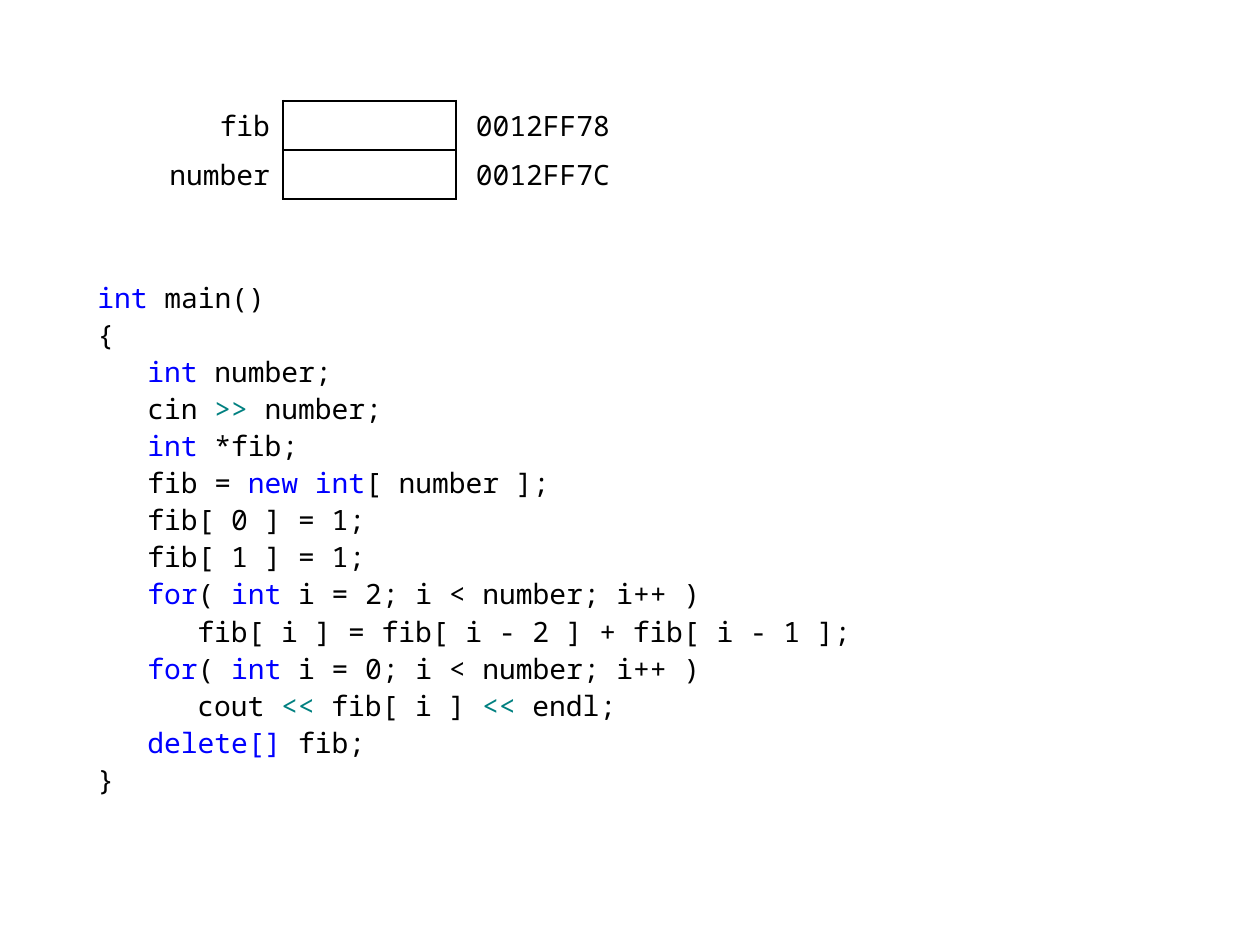
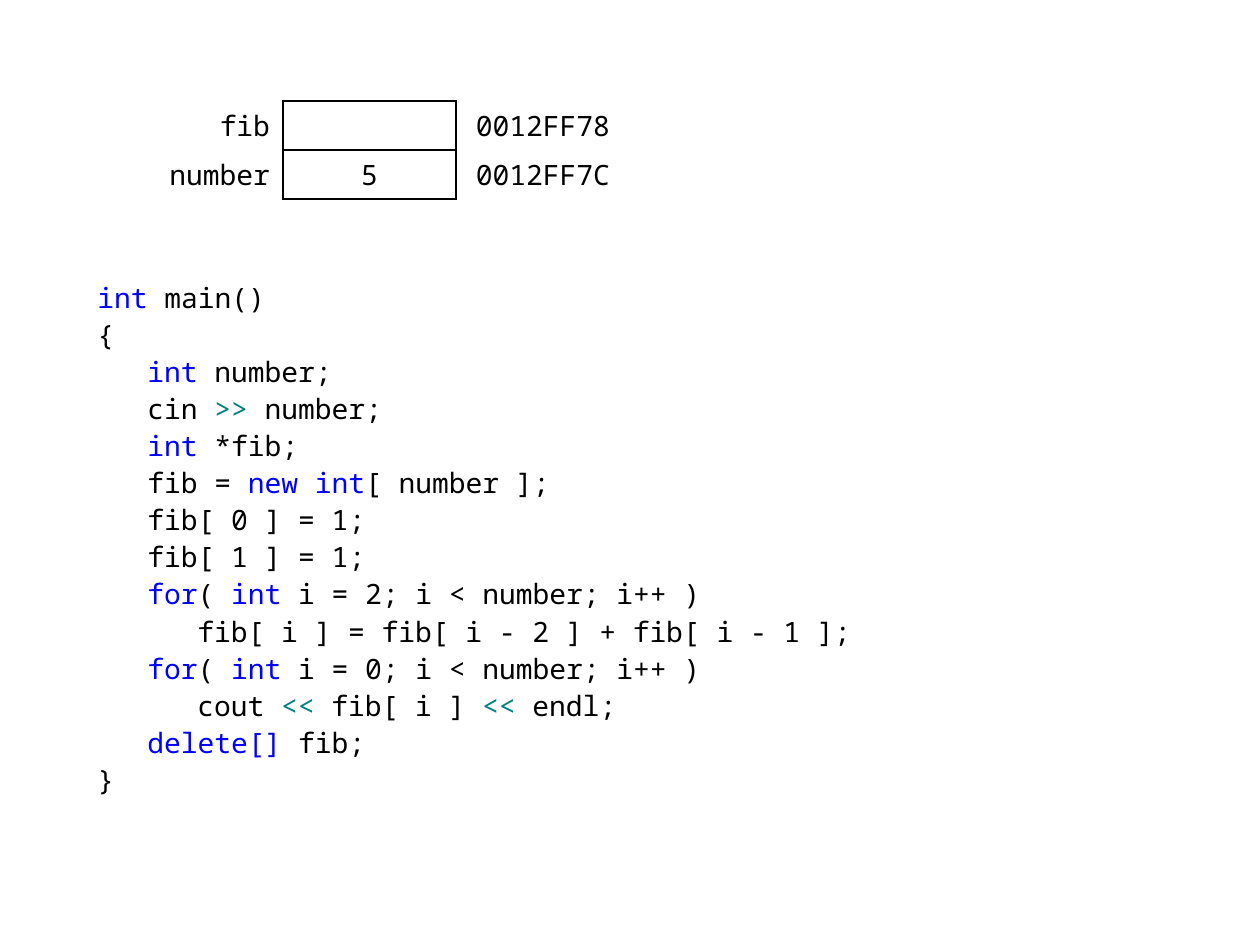
from dataclasses import dataclass

from lxml.etree import SubElement
from pptx import Presentation
from pptx.dml.color import RGBColor
from pptx.enum.text import MSO_ANCHOR, PP_ALIGN
from pptx.oxml.ns import qn
from pptx.util import Emu, Pt


@dataclass(frozen=True)
class Theme:
    font: str = "Noto Sans Mono"
    size: int = 16
    text: str = "000000"
    keyword: str = "0000FF"
    operator: str = "008080"
    border: str = "000000"
    outer_line: float = 1.5
    inner_line: float = 0.75


THEME = Theme()
EMU_PER_PX = 914400 // 126
SLIDE_WIDTH, SLIDE_HEIGHT = 1260, 945

# Code listing: indent level and text, with coloured parts between backticks
CODE_BOX = (85, 274, 794, 546)
INDENT = 50
OPERATORS = ("<<", ">>")
CODE = [
    (0, "`int` main()"),
    (0, "{"),
    (1, "`int` number;"),
    (1, "cin `>>` number;"),
    (1, "`int` *fib;"),
    (1, "fib = `new int`[ number ];"),
    (1, "fib[ 0 ] = 1;"),
    (1, "fib[ 1 ] = 1;"),
    (1, "`for`( `int` i = 2; i < number; i++ )"),
    (2, "fib[ i ] = fib[ i - 2 ] + fib[ i - 1 ];"),
    (1, "`for`( `int` i = 0; i < number; i++ )"),
    (2, "cout `<<` fib[ i ] `<<` endl;"),
    (1, "`delete[]` fib;"),
    (0, "}"),
]

# Memory table: variable name, value, address
TABLE_LEFT, TABLE_TOP, ROW_HEIGHT = 134, 101, 49
COLUMN_WIDTHS = (149, 173, 174)
COLUMN_ALIGNS = (PP_ALIGN.RIGHT, PP_ALIGN.CENTER, PP_ALIGN.CENTER)
COLUMN_INSETS = (13, 10, 10)
VARIABLES = (("fib", "0012FF78"), ("number", "0012FF7C"))
SLIDE_VALUES = ({}, {"number": "5"})


def px(length):
    return Emu(length * EMU_PER_PX)


def write_text(paragraph, text, *, align=PP_ALIGN.LEFT, indent=0, space_before=0):
    """Fill a paragraph, colouring the parts between backticks."""
    paragraph.alignment = align
    paragraph.space_before = Pt(space_before)
    if indent:
        paragraph._p.get_or_add_pPr().set("marL", str(px(indent)))
    for number, part in enumerate(text.split("`")):
        if not part:
            continue
        color = THEME.text
        if number % 2:
            color = THEME.operator if part in OPERATORS else THEME.keyword
        run = paragraph.add_run()
        run.text = part
        run.font.name = THEME.font
        run.font.size = Pt(THEME.size)
        run.font.color.rgb = RGBColor.from_string(color)


def add_code(slide, lines):
    frame = slide.shapes.add_textbox(*map(px, CODE_BOX)).text_frame
    frame.word_wrap = True
    for number, (level, text) in enumerate(lines):
        paragraph = frame.add_paragraph() if number else frame.paragraphs[0]
        write_text(paragraph, text, indent=level * INDENT, space_before=2)


def set_borders(cell, widths):
    """Draw the sides named in widths (L, R, T, B) and hide the others."""
    properties = cell._tc.get_or_add_tcPr()
    for side in "LRTB":
        line = SubElement(properties, qn(f"a:ln{side}"))
        if side in widths:
            line.set("w", str(Pt(widths[side])))
            fill = SubElement(line, qn("a:solidFill"))
            SubElement(fill, qn("a:srgbClr")).set("val", THEME.border)
        else:
            SubElement(line, qn("a:noFill"))


def border_widths(row, column, last_row):
    """Only the middle column is boxed; its neighbours share its edges."""
    outer, inner = THEME.outer_line, THEME.inner_line
    if column == 0:
        return {"R": outer}
    if column == 2:
        return {"L": outer}
    return {"L": outer, "R": outer,
            "T": inner if row else outer,
            "B": outer if row == last_row else inner}


def add_memory_table(slide, values):
    rows = [(name, values.get(name, ""), address) for name, address in VARIABLES]
    table = slide.shapes.add_table(
        len(rows), len(COLUMN_WIDTHS), px(TABLE_LEFT), px(TABLE_TOP),
        px(sum(COLUMN_WIDTHS)), px(ROW_HEIGHT * len(rows))).table
    table.first_row = table.horz_banding = False
    for column, width in zip(table.columns, COLUMN_WIDTHS):
        column.width = px(width)
    for row_number, row in enumerate(rows):
        for column_number, text in enumerate(row):
            cell = table.cell(row_number, column_number)
            cell.vertical_anchor = MSO_ANCHOR.MIDDLE
            cell.margin_left = cell.margin_right = px(COLUMN_INSETS[column_number])
            cell.margin_top = cell.margin_bottom = px(5)
            set_borders(cell, border_widths(row_number, column_number, len(rows) - 1))
            cell.fill.background()
            write_text(cell.text_frame.paragraphs[0], text,
                       align=COLUMN_ALIGNS[column_number])


def main():
    presentation = Presentation()
    presentation.slide_width = px(SLIDE_WIDTH)
    presentation.slide_height = px(SLIDE_HEIGHT)
    blank_layout = presentation.slide_layouts[6]
    for values in SLIDE_VALUES:
        slide = presentation.slides.add_slide(blank_layout)
        add_code(slide, CODE)
        add_memory_table(slide, values)
    presentation.save("out.pptx")


if __name__ == "__main__":
    main()
